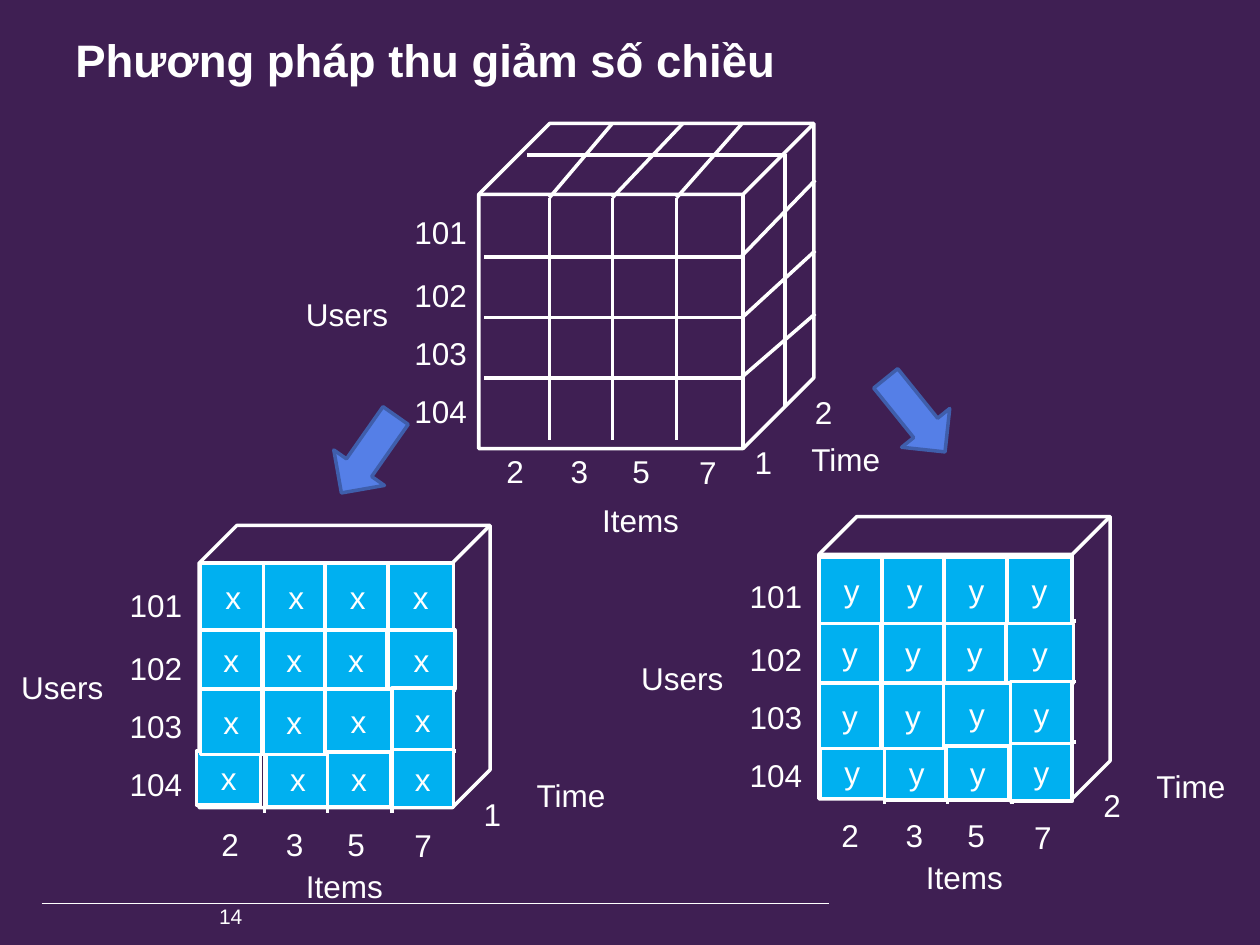
from lxml import etree
from pptx import Presentation
from pptx import util as u
from pptx.dml.color import RGBColor
from pptx.enum import shapes, text
from pptx.oxml import ns

COLUMNS, ROWS = 100, 75
COLORS = {"back": "3F1F53", "ink": "FFFFFF", "cell": "00B0F0",
          "arrow": "557FE7", "arrow edge": "3F5EAB"}
LABEL = {"size": u.Pt(18), "name": "Arial", "bold": False}
TITLE = {**LABEL, "size": u.Pt(26), "bold": True}
PAGE_NUMBER = {**LABEL, "size": u.Pt(12)}

# Offsets in columns and rows from the lower left corner of a cube's front
ITEMS = {"2": (0.8, 0.9), "3": (5.9, 0.9), "5": (10.8, 0.9), "7": (16.1, 1)}
USERS = {"101": -18.1, "102": -13.1, "103": -8.5, "104": -3.9}
FACE_COLUMNS = (5.2, 10.2, 15.3)
FACE_ROWS = (-14.1, -9.3, -4.5)

# Left, top, width, height of each cell, from the upper left of the filled face
CELLS = [(left, 0, 5.2, 5.3) for left in (0, 5, 9.9, 14.9)]
CELLS += [(14.9, 5.3, 5.3, 4.7), (15.2, 9.9, 4.9, 5.1)]
CELLS += [(5.2, 15, 5.1, 4.3), (10.1, 15, 5, 4.3)]
CELLS += [(left, 5.3, 4.9, 4.7) for left in (9.9, 5, 0)]
CELLS += [(15.2, 14.8, 4.9, 4.6), (9.9, 10, 5.3, 5),
          (5, 10, 4.9, 5.2), (0, 10, 4.9, 5.2)]


def color(name):
    return RGBColor.from_string(COLORS[name])


class Sketch:
    """Draws on one page, measured in grid columns and rows."""

    def __init__(self, deck):
        self.column = deck.slide_width / COLUMNS
        self.row = deck.slide_height / ROWS
        self.page = deck.slides.add_slide(deck.slide_layouts[6])
        fill = self.page.background.fill
        fill.solid()
        fill.fore_color.rgb = color("back")

    def place(self, *lengths):
        """Turn alternating columns and rows into slide lengths."""
        return [round(length * (self.row if i % 2 else self.column))
                for i, length in enumerate(lengths)]

    def add_words(self, frame, words, style):
        para = frame.paragraphs[0]
        span = para.add_run()
        span.text = words
        for key, value in style.items():
            setattr(span.font, key, value)
        span.font.color.rgb = color("ink")
        return para

    def label(self, words, left, top, width=3.4, height=4,
              style=LABEL, wrap=False, anchor=text.MSO_ANCHOR.TOP):
        box = self.page.shapes.add_textbox(*self.place(left, top, width, height))
        frame = box.text_frame
        frame.word_wrap = wrap
        frame.vertical_anchor = anchor
        if not wrap:
            frame.auto_size = text.MSO_AUTO_SIZE.SHAPE_TO_FIT_TEXT
        self.add_words(frame, words, style)

    def line(self, x1, y1, x2, y2, weight=2):
        connector = self.page.shapes.add_connector(
            shapes.MSO_CONNECTOR.STRAIGHT, *self.place(x1, y1, x2, y2))
        connector.line.color.rgb = color("ink")
        connector.line.width = u.Pt(weight)
        properties = connector._element.spPr
        etree.SubElement(properties, ns.qn("a:effectLst"))

    def shape(self, kind, area, fill=None, edge="ink"):
        shape = self.page.shapes.add_shape(kind, *self.place(*area))
        shape.shadow.inherit = False
        if fill:
            shape.fill.solid()
            shape.fill.fore_color.rgb = color(fill)
        else:
            shape.fill.background()
        shape.line.color.rgb = color(edge)
        shape.line.width = u.Pt(2)
        return shape

    def cube(self, area, depth):
        self.shape(shapes.MSO_SHAPE.CUBE, area).adjustments[0] = depth

    def arrow(self, left, top, turn):
        arrow = self.shape(shapes.MSO_SHAPE.LEFT_ARROW,
                           (left, top, 7.5, 4.9), "arrow", "arrow edge")
        arrow.rotation = turn

    def cell(self, words, area):
        frame = self.shape(shapes.MSO_SHAPE.RECTANGLE, area, "cell").text_frame
        frame.word_wrap = True
        frame.vertical_anchor = text.MSO_ANCHOR.MIDDLE
        self.add_words(frame, words, LABEL).alignment = text.PP_ALIGN.CENTER

    def face(self, x, y, items, time):
        """Grid lines and axis labels; items and time are label offsets."""
        for column in FACE_COLUMNS:
            self.line(x + column, y - 18.8, x + column, y + 0.4)
        for row in FACE_ROWS:
            self.line(x + 20.4, y + row, x, y + row)
        for words, (column, row) in ITEMS.items():
            self.label(words, x + column, y + row)
        for words, row in USERS.items():
            self.label(words, x - 6.5, y + row, 6.2)
        self.label("Users", x - 15.1, y - 11.6, 8.6)
        self.label("Items", x + items[0], y + items[1], 8.2)
        self.label("Time", x + time[0], y + time[1], 7.5)

    def whole_cube(self):
        self.cube((38, 9.8, 26.6, 25.8), 0.218)
        self.face(38.4, 34.5, (8.4, 4.8), (25, -0.1))
        for front, back in ((43.6, 48.6), (48.6, 54.2), (53.7, 58.9)):
            self.line(front, 15.7, back, 9.8)
        for front, back in ((20.4, 14.3), (25.3, 19.9), (30, 24.9)):
            self.line(58.8, front, 64.7, back)
        self.line(62.3, 12.2, 62.3, 32.2)
        self.line(62.2, 12.3, 41.8, 12.3)
        self.label("1", 58.9, 34.7)
        self.label("2", 63.7, 30.7)

    def time_slice(self, x, y, time, mark, cells_at, corner):
        """One cube with a filled face; corner shifts its lower left cell."""
        self.face(x, y, (7.5, 4.2), (25.8, -3))
        self.label(time, x + 21.6, y - 1.5)
        self.cube((x, y - 22.4, 23.1, 22.4), 0.134)
        for left, top, width, height in [(corner, 14.9, 5.1, 4.3)] + CELLS:
            self.cell(mark, (cells_at[0] + left, cells_at[1] + top, width, height))


def main():
    deck = Presentation()
    deck.slide_width, deck.slide_height = u.Inches(10), u.Inches(7.5)
    sketch = Sketch(deck)
    sketch.line(3.3, 71.7, 65.8, 71.7, weight=0.5)
    sketch.label("Phương pháp thu giảm số chiều", 5, 2.2, 79.6, 5,
                 TITLE, True, text.MSO_ANCHOR.MIDDLE)
    sketch.label("14", 16.4, 71.2, 14.2, 2.7, PAGE_NUMBER, True)
    sketch.whole_cube()
    sketch.arrow(25.5, 33.6, 305)
    sketch.arrow(68.9, 30.5, 231.1)
    sketch.time_slice(15.8, 64.1, "1", "x", (15.9, 44.7), -0.3)
    sketch.time_slice(65, 63.4, "2", "y", (65, 44.2), 0.1)
    deck.save("out.pptx")


if __name__ == "__main__":
    main()
